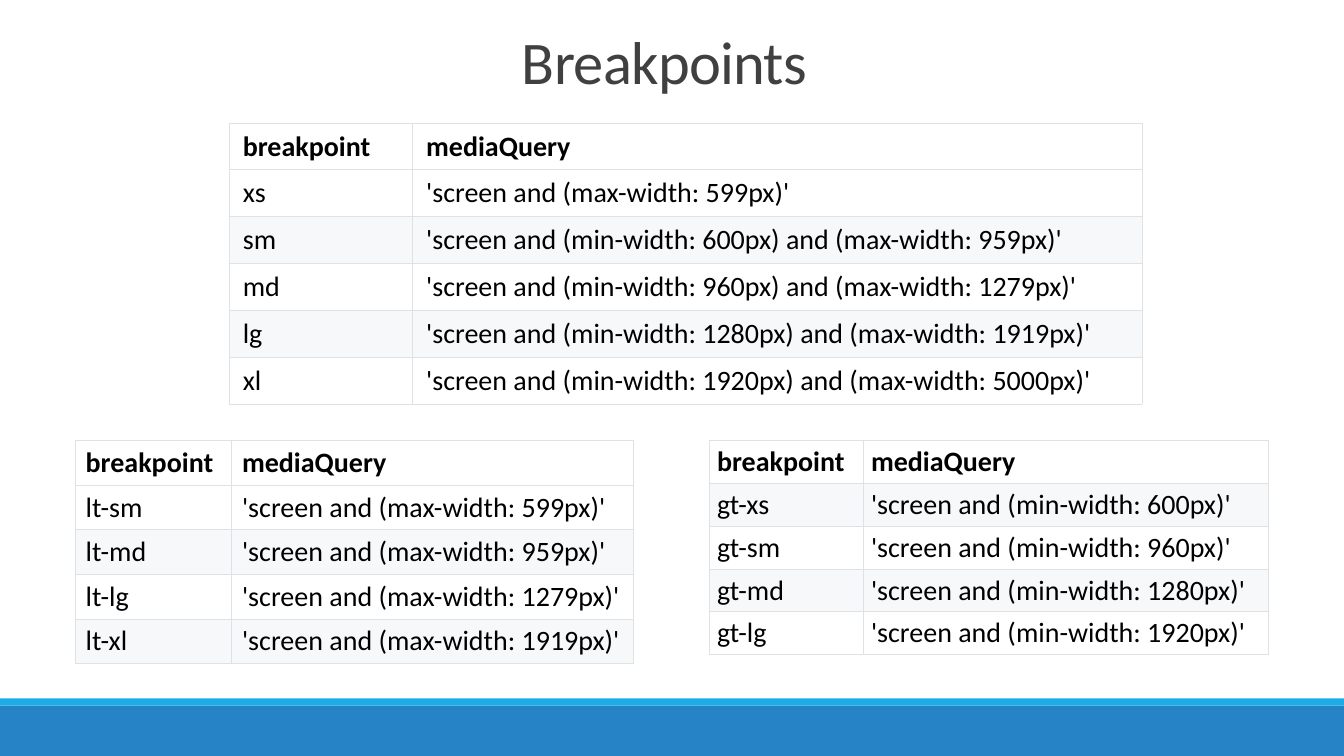
from lxml import etree
from pptx import Presentation
from pptx.dml.color import RGBColor
from pptx.enum.shapes import MSO_SHAPE
from pptx.enum.text import MSO_ANCHOR, MSO_AUTO_SIZE, PP_ALIGN
from pptx.oxml.ns import qn
from pptx.util import Cm, Pt

RECTANGLE = MSO_SHAPE.RECTANGLE
MIDDLE, BOTTOM = MSO_ANCHOR.MIDDLE, MSO_ANCHOR.BOTTOM
LEFT = PP_ALIGN.LEFT
NO_AUTOFIT = MSO_AUTO_SIZE.NONE

WHITE = RGBColor(0xFF, 0xFF, 0xFF)
BLACK = RGBColor(0x00, 0x00, 0x00)
TITLE_GRAY = RGBColor(0x40, 0x40, 0x40)
BAND_GRAY = RGBColor(0xF6, 0xF8, 0xFA)
BORDER_GRAY = RGBColor(0xDF, 0xE2, 0xE5)
DARK_BLUE = RGBColor(0x26, 0x83, 0xC6)
LIGHT_BLUE = RGBColor(0x1C, 0xAD, 0xE4)

FONT = "Calibri"
HEADER = ("breakpoint", "mediaQuery")


def write_text(frame, text, size=20, color=BLACK, bold=False):
    para = frame.paragraphs[0]
    para.alignment = LEFT
    span = para.add_run()
    span.text = text
    span.font.name = FONT
    span.font.size = Pt(size)
    span.font.bold = bold
    span.font.color.rgb = color
    return para, span


def add_borders(cell):
    properties = cell._tc.get_or_add_tcPr()
    for side in ("a:lnL", "a:lnR", "a:lnT", "a:lnB"):
        line = etree.SubElement(properties, qn(side), w=str(Pt(0.75)))
        fill = etree.SubElement(line, qn("a:solidFill"))
        etree.SubElement(fill, qn("a:srgbClr"), val=str(BORDER_GRAY))


deck = Presentation()
deck.slide_width = Cm(33.87)
deck.slide_height = Cm(19.05)
page = deck.slides.add_slide(deck.slide_layouts[5])

# Footer bars: top, height, colour
for top, height, color in ((17.78, 1.27, DARK_BLUE), (17.6, 0.18, LIGHT_BLUE)):
    bar = page.shapes.add_shape(RECTANGLE, 0, Cm(top), deck.slide_width, Cm(height))
    bar.shadow.inherit = False
    bar.fill.solid()
    bar.fill.fore_color.rgb = color
    bar.line.fill.background()

title = page.shapes.title
title.left, title.top, title.width, title.height = Cm(12.9), Cm(0.66), Cm(8.05), Cm(1.9)
title.text_frame.auto_size = NO_AUTOFIT
title.text_frame.vertical_anchor = BOTTOM
title_para, title_span = write_text(
    title.text_frame, "Breakpoints", size=43.2, color=TITLE_GRAY)
title_para.line_spacing = 0.85
title_span.font._element.set("spc", "-50")

# "shaded" is the remainder of the row number, halved, in the gray rows
tables = [
    dict(left=5.77, top=3.1, columns=(4.62, 18.39), row_height=1.18,
         margins=(0.35, 0.15), shaded=0, rows=[
             ("xs", "(max-width: 599px)"),
             ("sm", "(min-width: 600px) and (max-width: 959px)"),
             ("md", "(min-width: 960px) and (max-width: 1279px)"),
             ("lg", "(min-width: 1280px) and (max-width: 1919px)"),
             ("xl", "(min-width: 1920px) and (max-width: 5000px)")]),
    dict(left=1.9, top=11.1, columns=(3.94, 10.13), row_height=1.1,
         margins=(0.26, 0.13), shaded=0, rows=[
             ("lt-sm", "(max-width: 599px)"),
             ("lt-md", "(max-width: 959px)"),
             ("lt-lg", "(max-width: 1279px)"),
             ("lt-xl", "(max-width: 1919px)")]),
    dict(left=17.89, top=11.1, columns=(3.88, 10.19), row_height=1.08,
         margins=(0.18, 0.08), shaded=1, rows=[
             ("gt-xs", "(min-width: 600px)"),
             ("gt-sm", "(min-width: 960px)"),
             ("gt-md", "(min-width: 1280px)"),
             ("gt-lg", "(min-width: 1920px)")]),
]

for data in tables:
    rows = [HEADER] + [(name, f"'screen and {query}'") for name, query in data["rows"]]
    table = page.shapes.add_table(
        len(rows), len(HEADER), Cm(data["left"]), Cm(data["top"]),
        Cm(sum(data["columns"])), Cm(data["row_height"] * len(rows))).table
    for column, width in zip(table.columns, data["columns"]):
        column.width = Cm(width)
    side_margin, end_margin = data["margins"]
    for row_number, texts in enumerate(rows):
        table.rows[row_number].height = Cm(data["row_height"])
        is_header = row_number == 0
        is_shaded = not is_header and row_number % 2 == data["shaded"]
        for column_number, text in enumerate(texts):
            cell = table.cell(row_number, column_number)
            cell.margin_left = cell.margin_right = Cm(side_margin)
            cell.margin_top = cell.margin_bottom = Cm(end_margin)
            cell.vertical_anchor = MIDDLE
            add_borders(cell)
            cell.fill.solid()
            cell.fill.fore_color.rgb = BAND_GRAY if is_shaded else WHITE
            write_text(cell.text_frame, text, bold=is_header)

deck.save("out.pptx")
